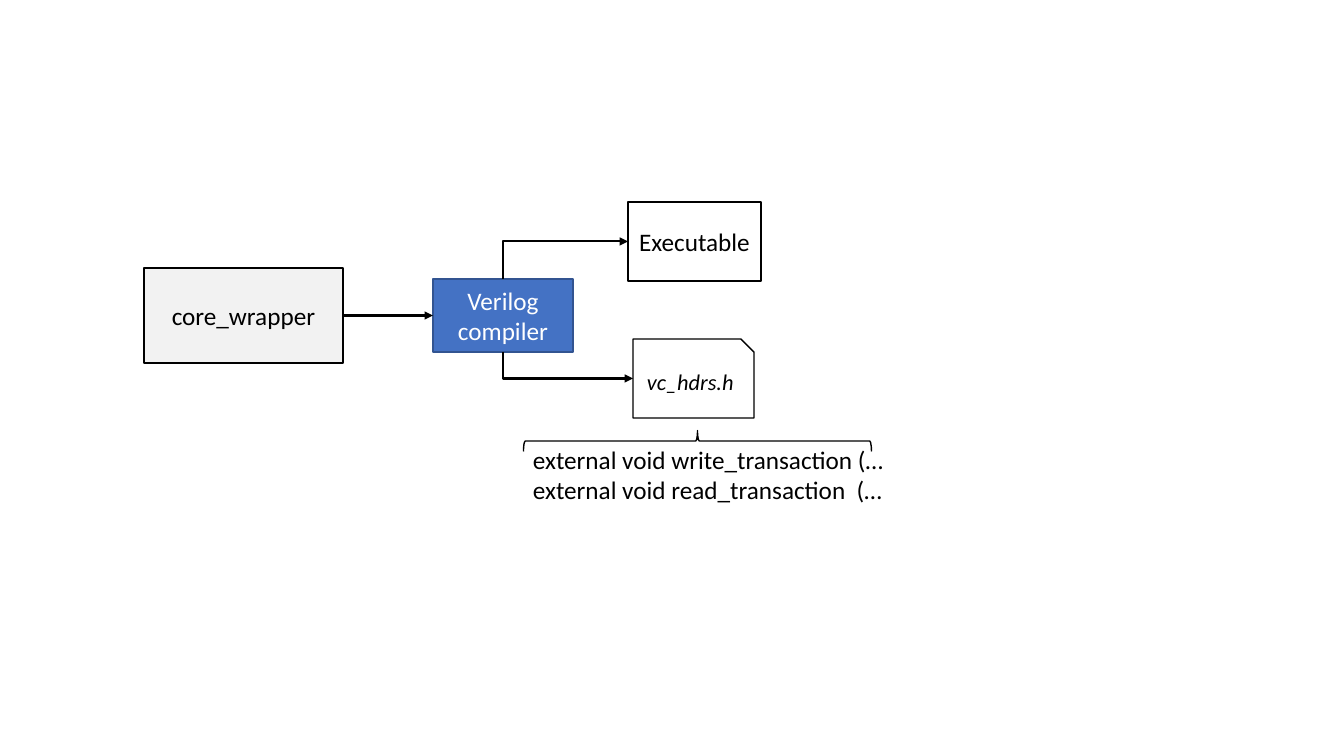
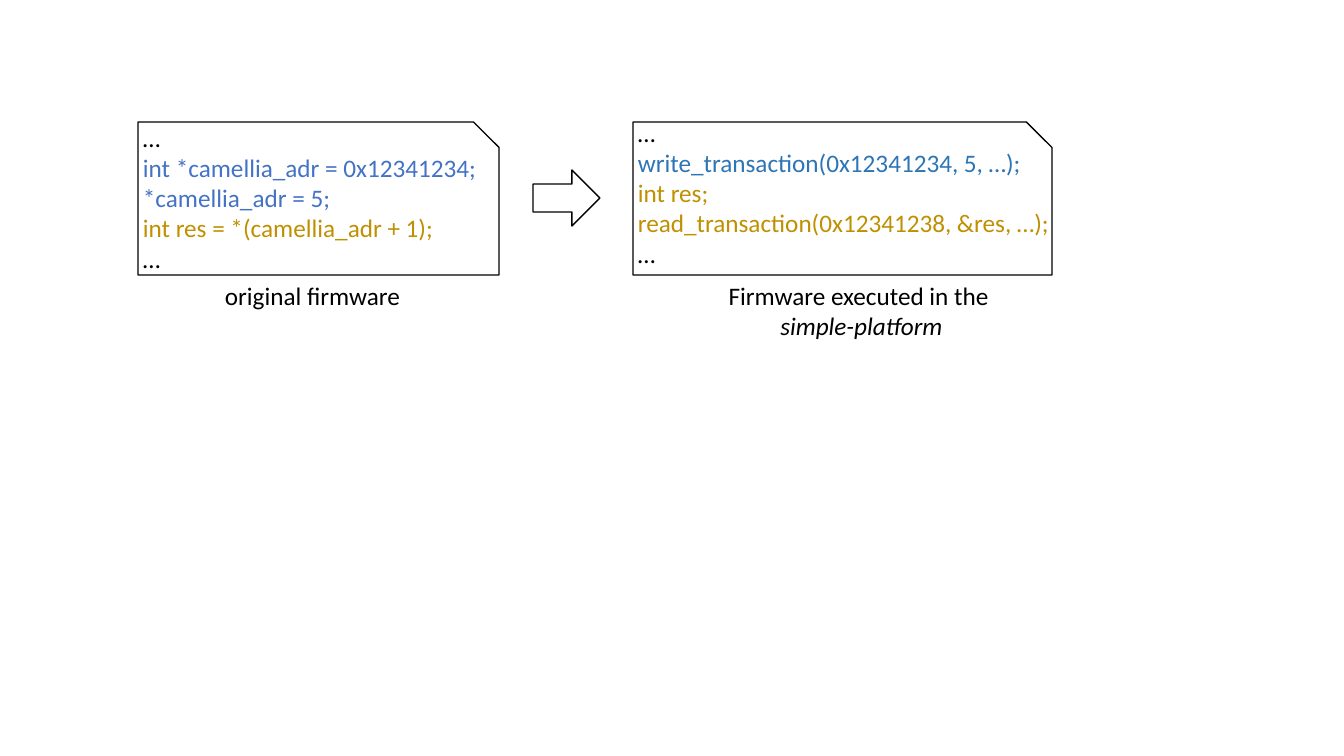
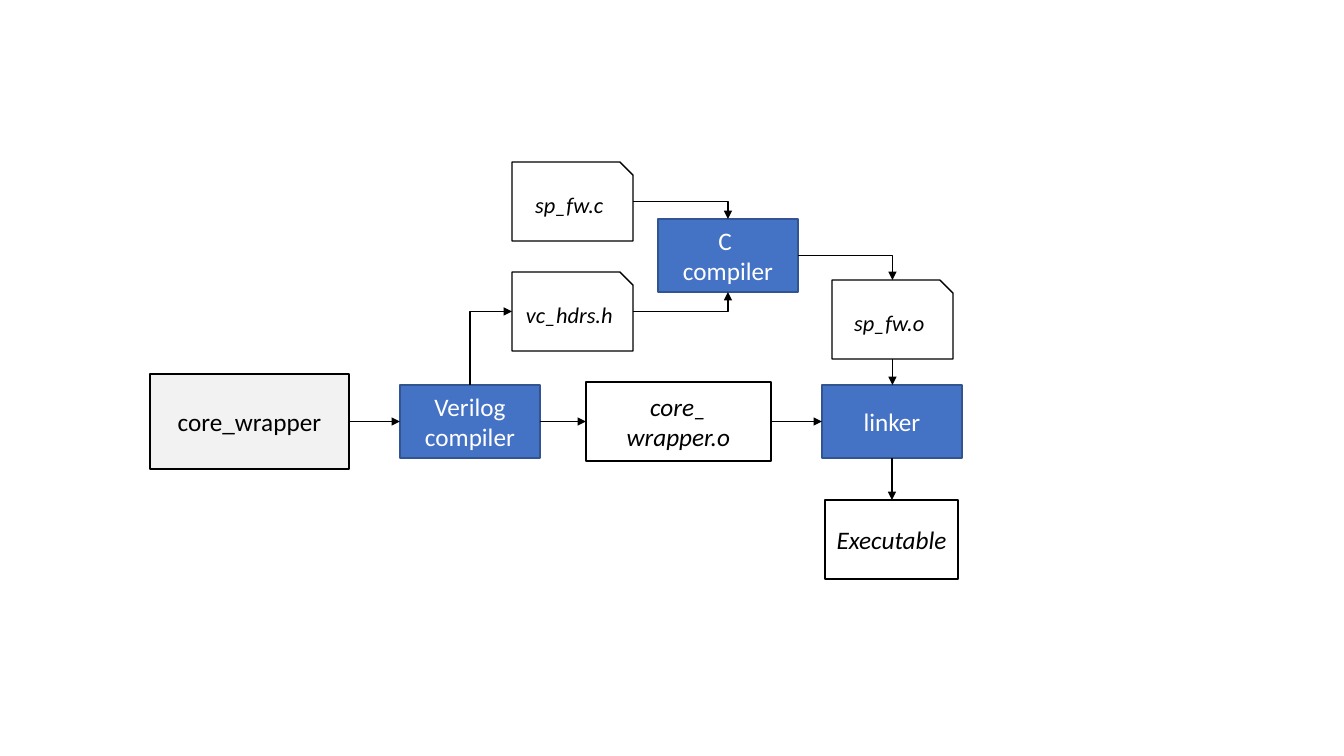
from dataclasses import dataclass

from pptx import Presentation
from pptx.dml.color import RGBColor
from pptx.enum.shapes import MSO_CONNECTOR, MSO_SHAPE
from pptx.enum.text import MSO_ANCHOR, MSO_AUTO_SIZE, PP_ALIGN
from pptx.oxml.ns import qn
from pptx.util import Emu, Pt
from lxml.etree import SubElement

SCALE = 914400 / 100.8  # EMU per pixel


def px(n):
    return Emu(round(n * SCALE))


@dataclass(frozen=True)
class Theme:
    font: str = "Calibri"
    text_size: int = 18
    file_size: int = 16
    thin: float = 1
    thick: float = 1.5
    black: str = "000000"
    white: str = "FFFFFF"
    grey: str = "F2F2F2"
    blue: str = "4472C4"
    blue_edge: str = "325491"
    write_blue: str = "2E75B6"
    gold: str = "BF9000"


@dataclass(frozen=True)
class Box:
    """Bounds in pixels, with the middle of each side as an anchor."""
    x: float
    y: float
    w: float
    h: float

    def side(self, name):
        cx, cy = self.x + self.w / 2, self.y + self.h / 2
        return {"left": (self.x, cy), "right": (self.x + self.w, cy),
                "top": (cx, self.y), "bottom": (cx, self.y + self.h)}[name]


class Deck:
    CORE = (199, 95)
    TOOL = (140, 73)
    FILE = (121, 79)
    PROGRAM = (133, 79)

    def __init__(self, theme):
        self.t = theme
        self.prs = Presentation()
        self.prs.slide_width, self.prs.slide_height = px(1344), px(756)
        self.s = None

    def new_slide(self):
        self.s = self.prs.slides.add_slide(self.prs.slide_layouts[6])

    def style(self, p, color, size=None, italic=False):
        for r in p.runs:
            r.font.name = self.t.font
            r.font.size = Pt(size or self.t.text_size)
            r.font.color.rgb = RGBColor.from_string(color)
            r.font.italic = italic

    # Shapes
    def shape(self, kind, x, y, w, h, fill=None, edge=None):
        sp = self.s.shapes.add_shape(kind, px(x), px(y), px(w), px(h))
        sp.shadow.inherit = False
        if fill:
            sp.fill.solid()
            sp.fill.fore_color.rgb = RGBColor.from_string(fill)
        else:
            sp.fill.background()
        sp.line.color.rgb = RGBColor.from_string(edge or self.t.black)
        sp.line.width = Pt(self.t.thin)
        return sp

    def node(self, text, x, y, size, kind=MSO_SHAPE.RECTANGLE, fill=None,
             edge=None, color=None, text_size=None, italic=False):
        sp = self.shape(kind, x, y, *size, fill or self.t.white, edge)
        tf = sp.text_frame
        tf.word_wrap = True
        tf.vertical_anchor = MSO_ANCHOR.MIDDLE
        tf.text = text
        p = tf.paragraphs[0]
        p.alignment = PP_ALIGN.CENTER
        self.style(p, color or self.t.black, text_size, italic)
        return Box(x, y, *size)

    def core(self, x, y):
        return self.node("core_wrapper", x, y, self.CORE, fill=self.t.grey)

    def tool(self, text, x, y):
        return self.node(text, x, y, self.TOOL, fill=self.t.blue,
                         edge=self.t.blue_edge, color=self.t.white)

    def file(self, text, x, y):
        return self.node(text, x, y, self.FILE, MSO_SHAPE.SNIP_1_RECTANGLE,
                         text_size=self.t.file_size, italic=True)

    # Text boxes: lines are (text, colour) pairs
    def text(self, lines, x, y, w, h, wrap=False, align=None):
        tf = self.s.shapes.add_textbox(px(x), px(y), px(w), px(h)).text_frame
        tf.word_wrap = wrap
        tf.auto_size = MSO_AUTO_SIZE.SHAPE_TO_FIT_TEXT
        tf.text = "\n".join(text for text, _ in lines)
        for p, (_, color) in zip(tf.paragraphs, lines):
            p.alignment = align
            self.style(p, color)
        return tf

    # Arrows between sides of two boxes
    def arrow(self, start, start_side, end, end_side, width=None):
        x1, y1 = start.side(start_side)
        x2, y2 = end.side(end_side)
        across = start_side in ("left", "right")
        bent = across != (end_side in ("left", "right"))
        if not bent:
            x2, y2 = (x2, y1) if across else (x1, y2)
        kind = MSO_CONNECTOR.ELBOW if bent else MSO_CONNECTOR.STRAIGHT
        c = self.s.shapes.add_connector(kind, px(x1), px(y1), px(x2), px(y2))
        c.line.color.rgb = RGBColor.from_string(self.t.black)
        c.line.width = Pt(width or self.t.thin)
        sp_pr = c._element.spPr
        SubElement(sp_pr.find(qn("a:ln")), qn("a:tailEnd"), type="triangle")
        SubElement(sp_pr, qn("a:effectLst"))
        if bent:
            sp_pr.find(qn("a:prstGeom")).set("prst", "bentConnector2")
            if not across:
                self.turn(c, x1, y1, x2, y2)

    def turn(self, c, x1, y1, x2, y2):
        """Make a rightward elbow leave vertically, by a quarter turn."""
        w, h = abs(y2 - y1), abs(x2 - x1)
        c.left, c.top = px((x1 + x2 - w) / 2), px((y1 + y2 - h) / 2)
        c.width, c.height = px(w), px(h)
        down = y2 > y1
        xfrm = c._element.spPr.find(qn("a:xfrm"))
        xfrm.set("rot", str((270 if down else 90) * 60000))
        xfrm.set("flipH", "1")
        xfrm.set("flipV", "0" if down else "1")


t = Theme()
d = Deck(t)

# Slide 1: compiling the wrapper
d.new_slide()
core = d.core(144, 268)
verilog = d.tool("Verilog\vcompiler", 433, 279)
header = d.file("vc_hdrs.h", 633, 339)
program = d.node("Executable", 628, 202, d.PROGRAM)
d.arrow(core, "right", verilog, "left", t.thick)
d.arrow(verilog, "bottom", header, "left", t.thick)
d.arrow(verilog, "top", program, "left", t.thick)
d.text([("external void write_transaction (…", t.black),
        ("external void read_transaction  (…", t.black)], 523, 439, 375, 72)
brace = d.shape(MSO_SHAPE.LEFT_BRACE, 687, 267, 21, 348)
brace.rotation = 90

# Slide 2: firmware before and after
d.new_slide()
for x, w in ((633, 419), (138, 361)):
    d.shape(MSO_SHAPE.SNIP_1_RECTANGLE, x, 122, w, 153, t.white)
d.text([("…", t.black),
        ("int *camellia_adr = 0x12341234;", t.blue),
        ("*camellia_adr = 5;", t.blue),
        ("int res = *(camellia_adr + 1);", t.gold),
        ("…", t.black)], 133, 117, 361, 163, wrap=True)
d.text([("…", t.black),
        ("write_transaction(0x12341234, 5, …);", t.write_blue),
        ("int res;", t.gold),
        ("read_transaction(0x12341238, &res, …);", t.gold),
        ("…", t.black)], 628, 112, 451, 163, wrap=True)
d.shape(MSO_SHAPE.RIGHT_ARROW, 533, 170, 67, 56, t.white)
d.text([("original firmware", t.black)], 215, 275, 198, 40)
caption = d.text([("Firmware executed in the \vsimple-platform", t.black)],
                 717, 275, 289, 71, align=PP_ALIGN.CENTER)
caption.paragraphs[0].runs[-1].font.italic = True

# Slide 3: the whole build
d.new_slide()
core = d.core(150, 374)
verilog = d.tool("Verilog\vcompiler", 400, 385)
header = d.file("vc_hdrs.h", 512, 272)
core_object = d.node("core_\vwrapper.o", 586, 382, (185, 79), italic=True)
source = d.file("sp_fw.c", 512, 162)
c_compiler = d.tool("C \vcompiler", 658, 219)
fw_object = d.file("sp_fw.o", 832, 280)
linker = d.tool("linker", 822, 385)
program = d.node("Executable", 825, 500, d.PROGRAM, italic=True)
for link in ((core, "right", verilog, "left"),
             (verilog, "top", header, "left"),
             (verilog, "right", core_object, "left"),
             (source, "right", c_compiler, "top"),
             (header, "right", c_compiler, "bottom"),
             (core_object, "right", linker, "left"),
             (c_compiler, "right", fw_object, "top"),
             (fw_object, "bottom", linker, "top"),
             (linker, "bottom", program, "top")):
    d.arrow(*link)

d.prs.save("out.pptx")
